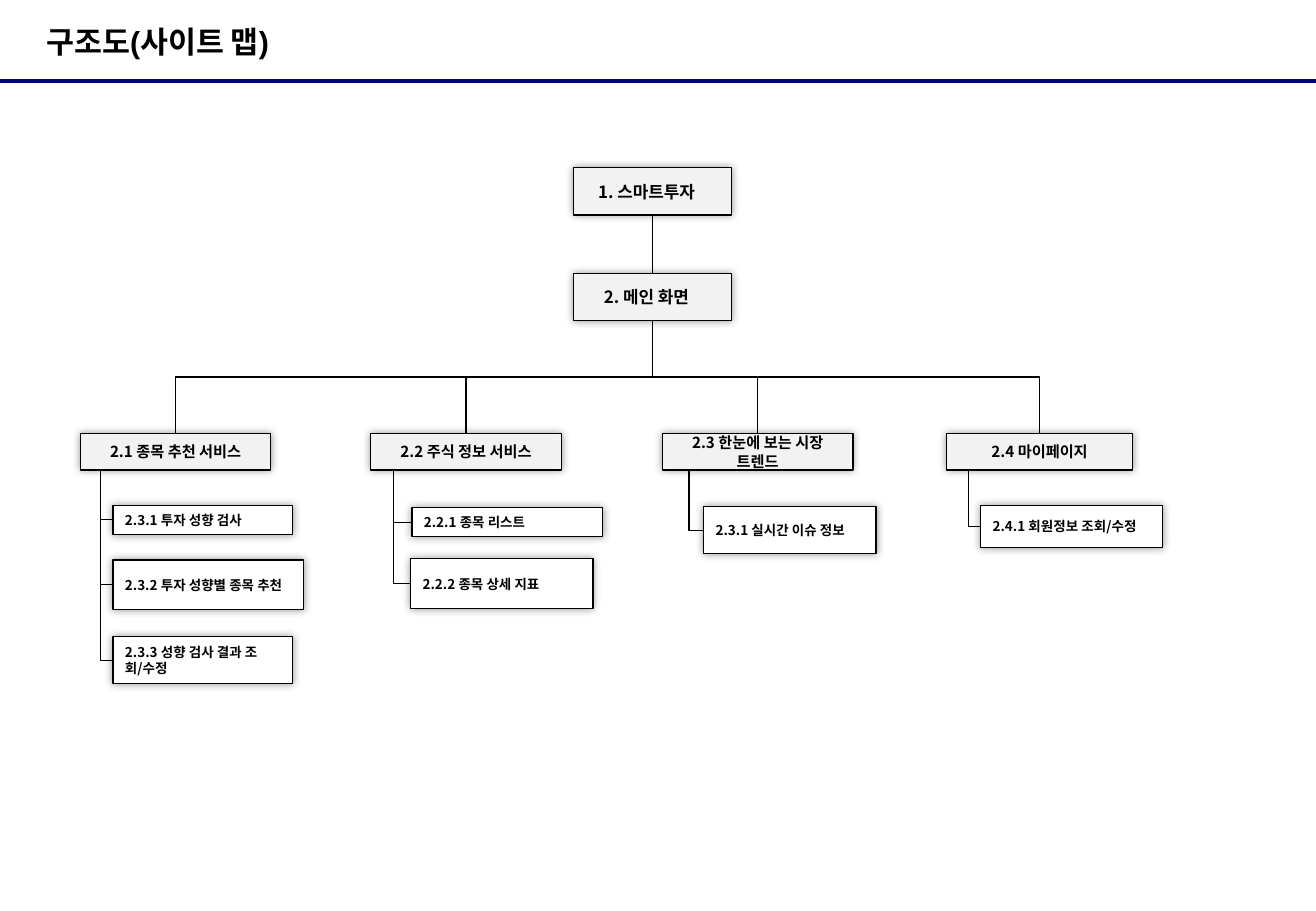
"""Build the site map slide of an investment service."""
import pptx
import pptx.dml.color
import pptx.enum.shapes
import pptx.enum.text
import pptx.oxml
import pptx.oxml.ns
import pptx.util

PX = 9144
KOREAN = "Noto Sans CJK KR"
BLACK, GREY, WHITE, NAVY = "000000", "F2F2F2", "FFFFFF", "000080"
NS = pptx.oxml.ns.nsdecls("a")
SHADOW = (f'<a:outerShdw {NS} blurRad="63500" dist="0" dir="0" algn="ctr" rotWithShape="0">'
          f'<a:srgbClr val="{BLACK}"><a:alpha val="40000"/></a:srgbClr></a:outerShdw>')
CONNECTOR = pptx.enum.shapes.MSO_CONNECTOR
ALIGN = pptx.enum.text.PP_ALIGN
rgb = pptx.dml.color.RGBColor.from_string


def put_text(sp, text, size, font, align, insets):
    """Write one bold paragraph into a shape."""
    tf = sp.text_frame
    left, top, right, bottom = [n * PX for n in insets]
    frame = dict(word_wrap=True, vertical_anchor=pptx.enum.text.MSO_ANCHOR.MIDDLE,
                 auto_size=pptx.enum.text.MSO_AUTO_SIZE.NONE, margin_left=left,
                 margin_top=top, margin_right=right, margin_bottom=bottom)
    for name, value in frame.items():
        setattr(tf, name, value)
    p = tf.paragraphs[0]
    p.alignment = align
    r = p.add_run()
    r.text = text
    for name, value in dict(size=pptx.util.Pt(size), bold=True, name=font).items():
        setattr(r.font, name, value)
    r.font.color.rgb = rgb(BLACK)
    r.font._element.append(pptx.oxml.parse_xml(f'<a:ea {NS} typeface="{KOREAN}"/>'))


def add_line(kind, x1, y1, x2, y2, color=BLACK, width=0.75):
    """Draw a connector without a shadow."""
    cx = s.shapes.add_connector(kind, *[round(n * PX) for n in (x1, y1, x2, y2)])
    cx.line.color.rgb = rgb(color)
    cx.line.width = pptx.util.Pt(width)
    cx._element.spPr.append(pptx.oxml.parse_xml(f"<a:effectLst {NS}/>"))
    return cx


prs = pptx.Presentation()
prs.slide_width, prs.slide_height = 1083 * PX, 750 * PX
s = prs.slides.add_slide(prs.slide_layouts[5])

add_line(CONNECTOR.STRAIGHT, 0, 67, 1083, 67, NAVY, 2.25)
title = s.shapes.title
title.left, title.top, title.width, title.height = 38 * PX, 0, 708 * PX, 68 * PX
put_text(title, "구조도(사이트 맵)", 18, "Arial", ALIGN.LEFT, (0, 0, 0, 0))

roots = [("1. 스마트투자", 472, 138, 130, 39), ("2. 메인 화면", 472, 225, 130, 39)]
branches = [
    (("2.1 종목 추천 서비스", 66, 357, 157, 30), 83, [
        ("2.3.1 투자 성향 검사", 93, 416, 148, 24),
        ("2.3.2 투자 성향별 종목 추천", 93, 461, 157, 41),
        ("2.3.3 성향 검사 결과 조회/수정", 93, 524, 148, 39)]),
    (("2.2 주식 정보 서비스", 305, 357, 157, 30), 324, [
        ("2.2.1 종목 리스트", 339, 418, 157, 24),
        ("2.2.2 종목 상세 지표", 338, 460, 150, 41)]),
    (("2.3 한눈에 보는 시장 트렌드", 545, 357, 157, 30), 567, [
        ("2.3.1 실시간 이슈 정보", 579, 417, 142, 39)]),
    (("2.4 마이페이지", 779, 357, 153, 30), 797, [
        ("2.4.1 회원정보 조회/수정", 807, 416, 150, 35)]),
]

levels = [
    (roots, GREY, 10, ALIGN.CENTER, (3, 5, 13, 5)),
    ([branch for branch, stem, pages in branches], GREY, 9, ALIGN.CENTER, (10, 5, 10, 5)),
    ([page for branch, stem, pages in branches for page in pages],
     WHITE, 8, ALIGN.LEFT, (10, 5, 10, 5)),
]
boxes = []
for level, fill, size, align, insets in levels:
    for text, *place in level:
        sp = s.shapes.add_shape(pptx.enum.shapes.MSO_SHAPE.RECTANGLE, *[n * PX for n in place])
        sp.fill.solid()
        sp.fill.fore_color.rgb = rgb(fill)
        sp.line.color.rgb = rgb(BLACK)
        sp.line.width = pptx.util.Pt(0.75)
        sp.shadow.inherit = False
        effects = sp._element.spPr.find(pptx.oxml.ns.qn("a:effectLst"))
        effects.append(pptx.oxml.parse_xml(SHADOW))
        put_text(sp, text, size, KOREAN, align, insets)
        boxes.append(sp)

trunk = add_line(CONNECTOR.STRAIGHT, 537, 177, 537, 225)
trunk.begin_connect(boxes[0], 2)
trunk.end_connect(boxes[1], 0)

elbows = []
for (text, left, top, width, height), stem, pages in branches:
    elbows.append(("bentConnector3", 537, 264, left + width / 2, top))
    for name, x, y, w, h in pages:
        elbows.append(("bentConnector2", stem, top + height, x, y + h / 2))

for preset, x1, y1, x2, y2 in elbows:
    run, drop = abs(x2 - x1), y2 - y1
    left, top = (x1 + x2 - drop) / 2, (y1 + y2 - run) / 2
    cx = add_line(CONNECTOR.ELBOW, left, top, left + drop, top + run)
    spPr = cx._element.spPr
    spPr.find(pptx.oxml.ns.qn("a:prstGeom")).set("prst", preset)
    turn = {"rot": "16200000", "flipH": "1"} if x2 > x1 else {"rot": "5400000"}
    for name, value in turn.items():
        spPr.find(pptx.oxml.ns.qn("a:xfrm")).set(name, value)

prs.save("out.pptx")
